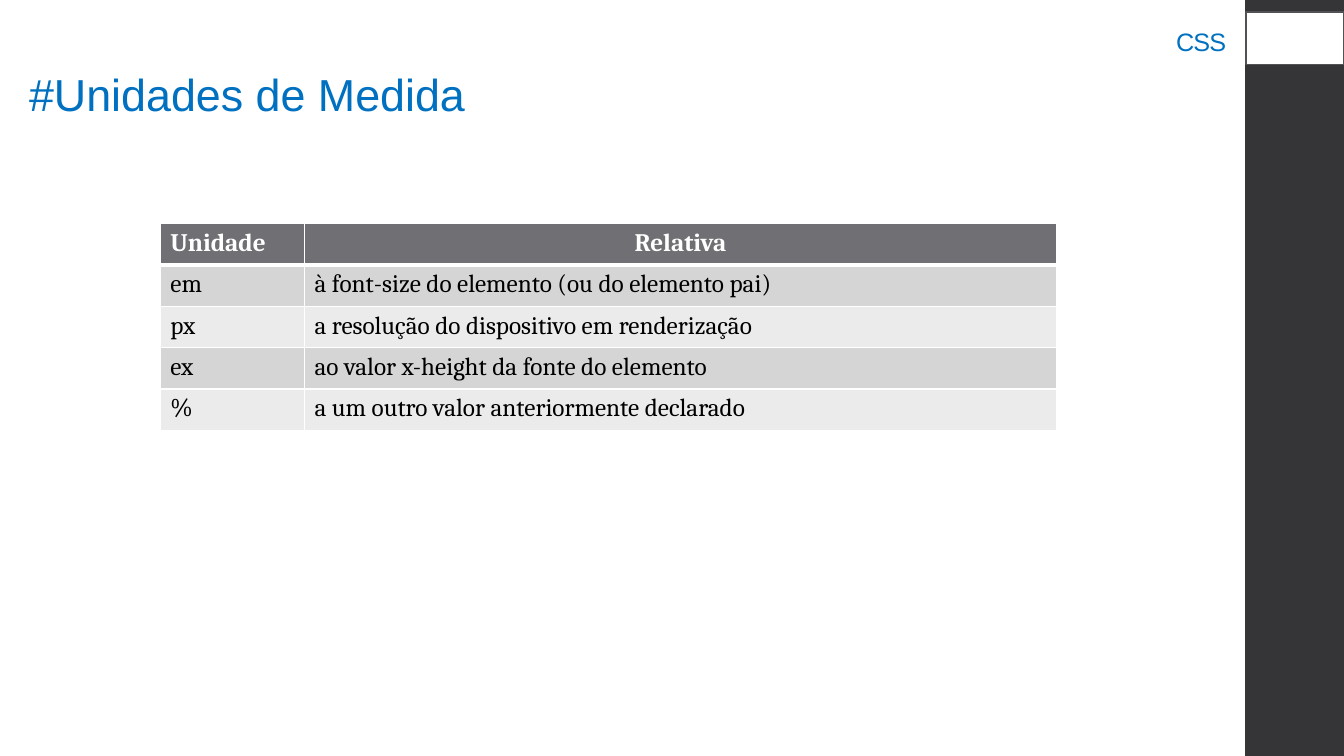
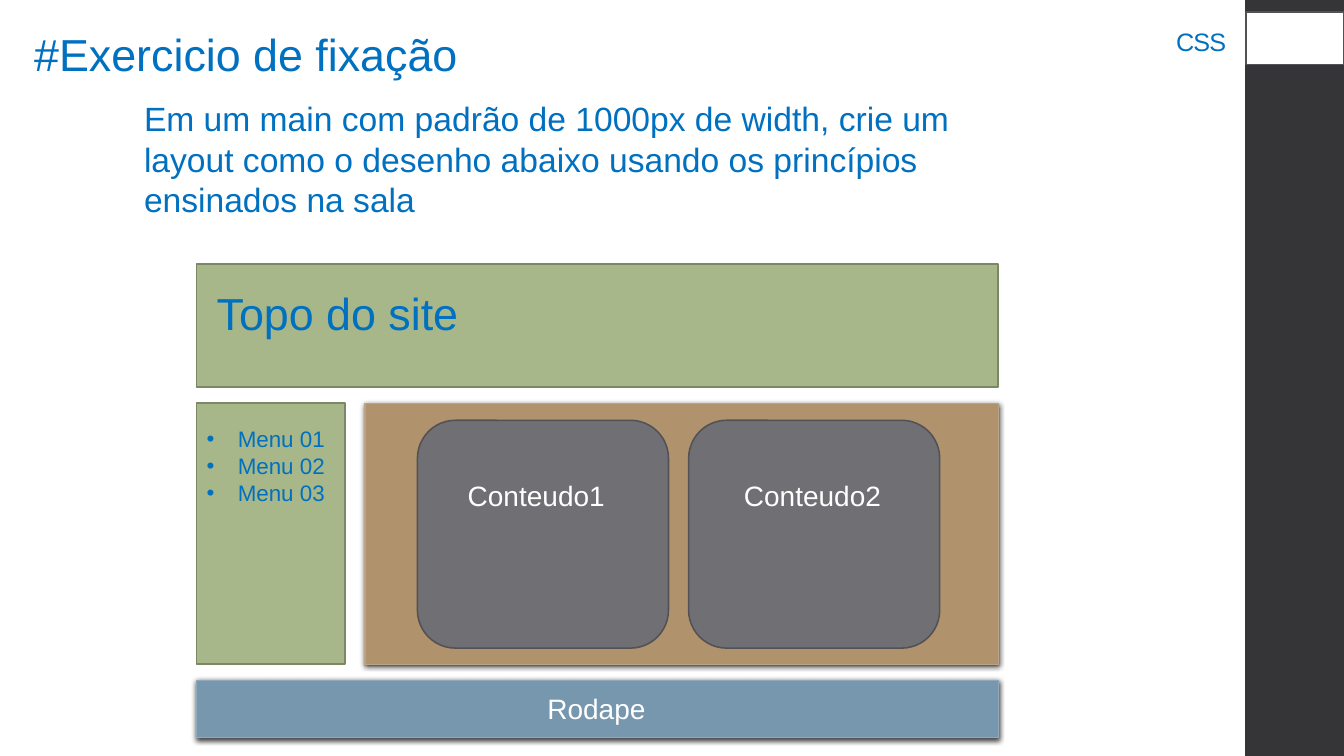
from pptx import Presentation
from pptx.dml.color import RGBColor
from pptx.enum import shapes, text
from pptx.oxml import ns, parse_xml
from pptx.util import Inches, Pt

BLUE, WHITE, BLACK = "0070C0", "FFFFFF", "000000"
BAND, GRAY, GRAY_EDGE = "353537", "6F6F74", "525256"
GREEN, GREEN_EDGE = "A7B789", "7C8765"
BROWN, BROWN_EDGE = "B0926C", "B9A489"
STEEL, STEEL_EDGE = "7797AE", "92A9B9"
ROW_FILLS = ("EBEBEB", "D5D5D6")

COURSE = "CSS"
UNITS_TITLE = "#Unidades de Medida"
UNITS = [
    ("Unidade", "Relativa"),
    ("em", "à font-size do elemento (ou do elemento pai)"),
    ("px", "a resolução do dispositivo em renderização"),
    ("ex", "ao valor x-height da fonte do elemento"),
    ("%", "a um outro valor anteriormente declarado"),
]
UNIT_WIDTHS = (1.43, 7.46)
ROW_HEIGHT = 0.41

EXERCISE_TITLE = "#Exercicio de fixação"
EXERCISE = ("Em um main com padrão de 1000px de width, crie um layout como o "
            "desenho abaixo usando os princípios ensinados na sala")
SITE_TOP, SITE_FOOTER = "Topo do site", "Rodape"
MENU = ["Menu 01", "Menu 02", "Menu 03"]
CONTENTS = [("Conteudo1", 4.14, 4.54), ("Conteudo2", 6.83, 7.28)]
SITE_LEFT, SITE_WIDTH = 1.95, 7.95
MIDDLE_TOP, MIDDLE_HEIGHT = 4, 2.59
MAIN_LEFT = 3.62


def rgb(value):
    return RGBColor.from_string(value)


def set_font(paragraph, size, color, name="Arial", bold=False):
    font = paragraph.font
    font.size, font.name, font.bold = Pt(size), name, bold
    font.color.rgb = rgb(color)


def add_block(slide, box, fill, edge=None, edge_width=1.1, shadow=False,
              kind=shapes.MSO_SHAPE.RECTANGLE):
    block = slide.shapes.add_shape(kind, *map(Inches, box))
    block.fill.solid()
    block.fill.fore_color.rgb = rgb(fill)
    if edge:
        block.line.color.rgb = rgb(edge)
        block.line.width = Pt(edge_width)
    else:
        block.line.fill.background()
    block.shadow.inherit = False
    if shadow:
        effects = block._element.spPr.find(ns.qn("a:effectLst"))
        effects.append(parse_xml(
            f'<a:outerShdw {ns.nsdecls("a")} blurRad="{Pt(4)}" dist="{Pt(1.2)}" '
            f'dir="5400000" rotWithShape="0"><a:srgbClr val="{BLACK}">'
            '<a:alpha val="75000"/></a:srgbClr></a:outerShdw>'))


def add_label(slide, box, lines, size, color=BLUE, wrap=False, bullets=False,
              anchor=text.MSO_ANCHOR.TOP, fit=text.MSO_AUTO_SIZE.SHAPE_TO_FIT_TEXT):
    frame = slide.shapes.add_textbox(*map(Inches, box)).text_frame
    frame.text = "\n".join(lines)
    frame.word_wrap, frame.auto_size, frame.vertical_anchor = wrap, fit, anchor
    for paragraph in frame.paragraphs:
        if bullets:
            props = paragraph._p.get_or_add_pPr()
            props.set("marL", str(Inches(0.31)))
            props.set("indent", str(Inches(-0.31)))
            props.append(parse_xml(f'<a:buFont {ns.nsdecls("a")} typeface="Arial"/>'))
            props.append(parse_xml(f'<a:buChar {ns.nsdecls("a")} char="•"/>'))
        set_font(paragraph, size, color)
    return frame


def add_page(deck, title, title_box):
    slide = deck.slides.add_slide(deck.slide_layouts[6])
    add_block(slide, (12.35, 0, 0.98, 7.5), BAND)
    course = add_label(slide, (8.32, 0.2, 3.94, 0.41), [COURSE], 18, wrap=True,
                       anchor=text.MSO_ANCHOR.BOTTOM, fit=text.MSO_AUTO_SIZE.NONE)
    course_line = course.paragraphs[0]
    course_line.alignment = text.PP_ALIGN.RIGHT
    course_line.line_spacing = 0.9
    course_line.runs[0]._r.get_or_add_rPr().set("spc", "-60")
    add_block(slide, (12.36, 0.12, 0.97, 0.52), WHITE, GRAY_EDGE)
    add_label(slide, title_box, [title], 32)
    return slide


def set_borders(cell, widths):
    props = cell._tc.get_or_add_tcPr()
    for place, (side, width) in enumerate(widths.items()):
        props.insert(place, parse_xml(
            f'<a:ln{side} {ns.nsdecls("a")} w="{Pt(width)}"><a:solidFill>'
            f'<a:srgbClr val="{WHITE}"/></a:solidFill></a:ln{side}>'))


def add_units_table(slide):
    box = (1.59, 2.22, sum(UNIT_WIDTHS), ROW_HEIGHT * len(UNITS))
    table = slide.shapes.add_table(len(UNITS), len(UNIT_WIDTHS), *map(Inches, box)).table
    table.horz_banding = False
    for column, width in zip(table.columns, UNIT_WIDTHS):
        column.width = Inches(width)
    for r, row in enumerate(UNITS):
        table.rows[r].height = Inches(ROW_HEIGHT)
        header = r == 0
        for c, value in enumerate(row):
            cell = table.cell(r, c)
            cell.text = value
            cell.fill.solid()
            cell.fill.fore_color.rgb = rgb(GRAY if header else ROW_FILLS[r % 2])
            paragraph = cell.text_frame.paragraphs[0]
            set_font(paragraph, 18, WHITE if header else BLACK, "Cambria", header)
            if header and c == 1:
                paragraph.alignment = text.PP_ALIGN.CENTER
            set_borders(cell, {"L": 1, "R": 1, "T": 3 if r == 1 else 1,
                               "B": 3 if header else 1})


def add_site_sketch(slide):
    main_width = SITE_LEFT + SITE_WIDTH - MAIN_LEFT
    add_block(slide, (SITE_LEFT, 2.62, SITE_WIDTH, 1.22), GREEN, GREEN_EDGE)
    add_block(slide, (SITE_LEFT, MIDDLE_TOP, 1.47, MIDDLE_HEIGHT), GREEN, GREEN_EDGE)
    add_block(slide, (MAIN_LEFT, MIDDLE_TOP, main_width, MIDDLE_HEIGHT),
              BROWN, BROWN_EDGE, 0.75, shadow=True)
    add_block(slide, (SITE_LEFT, 6.75, SITE_WIDTH, 0.57),
              STEEL, STEEL_EDGE, 0.75, shadow=True)
    add_label(slide, (2.05, 2.79, 2.62, 0.64), [SITE_TOP], 32)
    add_label(slide, (SITE_LEFT, 4.17, 1.39, 1.18), MENU, 16, bullets=True)
    add_label(slide, (5.33, 6.81, 1.19, 0.44), [SITE_FOOTER], 20, WHITE)
    for name, card_left, name_left in CONTENTS:
        add_block(slide, (card_left, 4.17, 2.49, 2.26), GRAY, GRAY_EDGE,
                  kind=shapes.MSO_SHAPE.ROUNDED_RECTANGLE)
        add_label(slide, (name_left, 4.7, 1.57, 0.44), [name], 20, WHITE)


def main():
    """Build the CSS units slide and the layout exercise slide."""
    deck = Presentation()
    deck.slide_width, deck.slide_height = Inches(13.33), Inches(7.5)
    add_units_table(add_page(deck, UNITS_TITLE, (0.19, 0.61, 4.56, 0.64)))
    exercise = add_page(deck, EXERCISE_TITLE, (0.24, 0.22, 4.44, 0.64))
    add_label(exercise, (1.33, 0.92, 8.88, 1.31), [EXERCISE], 24, wrap=True,
              anchor=text.MSO_ANCHOR.MIDDLE)
    add_site_sketch(exercise)
    deck.save("out.pptx")


if __name__ == "__main__":
    main()
